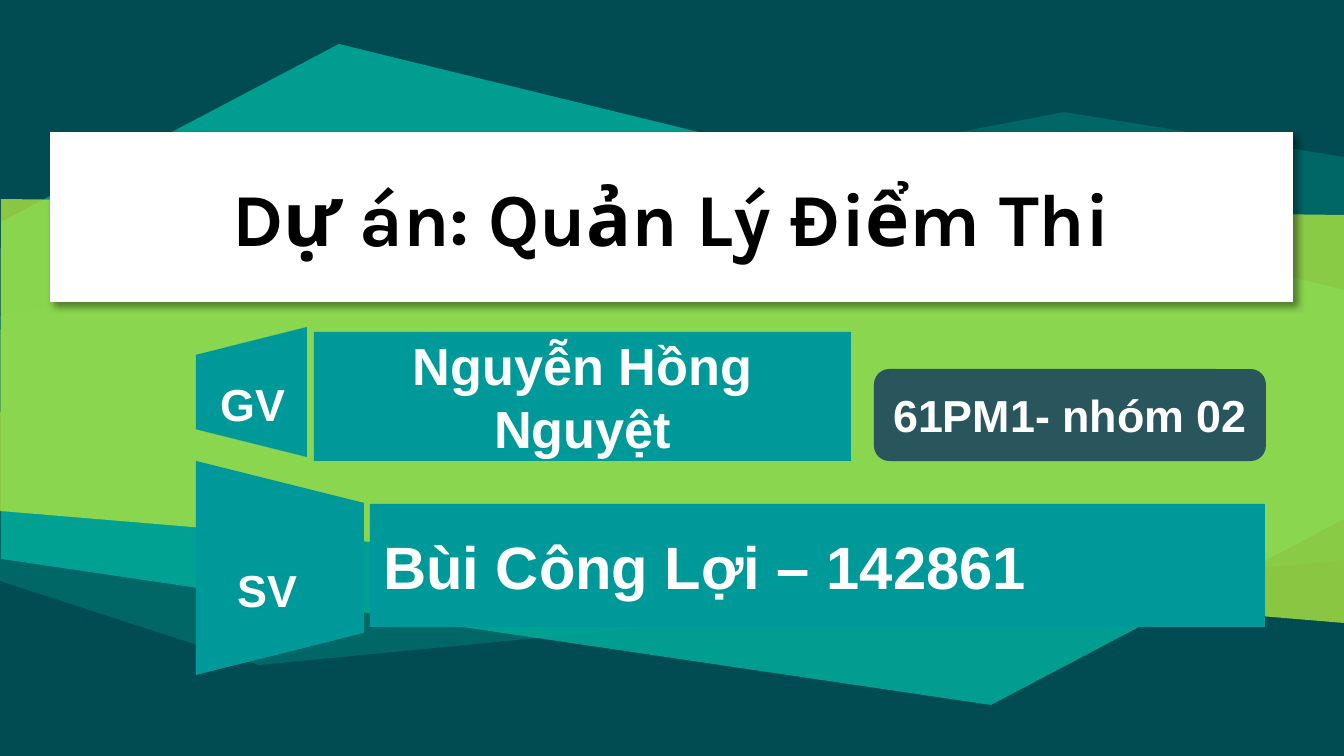
from lxml.etree import SubElement
from pptx import Presentation
from pptx.dml.color import RGBColor
from pptx.enum.shapes import MSO_SHAPE as Shape
from pptx.enum.text import MSO_ANCHOR as Anchor, PP_ALIGN as Align, MSO_AUTO_SIZE as AutoSize
from pptx.oxml.ns import qn
from pptx.util import Pt

WIDTH, HEIGHT = 1344, 756
SCALE = 9144000 / WIDTH  # EMU in one px

DARK_TEAL = RGBColor(0x00, 0x4C, 0x52)
SEA = RGBColor(0x00, 0xAE, 0x9D)
LIME = RGBColor(0xAB, 0xE3, 0x3F)
TEAL = RGBColor(0x00, 0x99, 0x99)
SLATE = RGBColor(0x29, 0x55, 0x5D)
WHITE = RGBColor(0xFF, 0xFF, 0xFF)
BLACK = RGBColor(0x00, 0x00, 0x00)

# Corner points, colour and opacity in percent, from back to front
BACKDROP = [
    ([(1344, 290), (1344, 519), (991, 705), (1, 559), (1, 222), (339, 44)], SEA, 83),
    ([(1344, 157), (1064, 112), (0, 316), (0, 581), (259, 665), (1344, 560)], SEA, 27),
    ([(1, 199), (0, 511), (1344, 623), (1344, 215)], LIME, 81),
]


def emu(*lengths):
    return [round(length * SCALE) for length in lengths]


def paint(shape, color):
    shape.fill.solid()
    shape.fill.fore_color.rgb = color
    shape.line.fill.background()


def write(shape, text, size, font="Arial", color=WHITE, align=Align.LEFT, anchor=Anchor.MIDDLE):
    frame = shape.text_frame
    frame.word_wrap = True
    frame.vertical_anchor = anchor
    para = frame.paragraphs[0]
    para.alignment = align
    span = para.add_run()
    span.text = text
    span.font.name = font
    span.font.size = Pt(size)
    span.font.bold = True
    span.font.color.rgb = color


def add_block(page, kind, box, color, rotation=0):
    shape = page.shapes.add_shape(kind, *emu(*box))
    shape.shadow.inherit = False
    shape.rotation = rotation
    paint(shape, color)
    return shape


def add_backdrop(page):
    page.background.fill.solid()
    page.background.fill.fore_color.rgb = DARK_TEAL
    for points, color, opacity in BACKDROP:
        builder = page.shapes.build_freeform(*points[0], scale=SCALE)
        builder.add_line_segments(points[1:], close=True)
        polygon = builder.convert_to_shape()
        polygon.shadow.inherit = False
        paint(polygon, color)
        tint = polygon.element.spPr.find(f"{qn('a:solidFill')}/{qn('a:srgbClr')}")
        SubElement(tint, qn("a:alpha"), val=str(opacity * 1000))


def add_title(page, box, text):
    title = page.shapes.title
    title.element.getparent().append(title.element)  # in front of the backdrop
    title.left, title.top, title.width, title.height = emu(*box)
    paint(title, WHITE)
    effects = SubElement(title.element.spPr, qn("a:effectLst"))
    shadow = SubElement(effects, qn("a:outerShdw"), blurRad=str(Pt(4)), dist=str(Pt(3)),
                        dir=str(45 * 60000), algn="bl", rotWithShape="0")
    shade = SubElement(shadow, qn("a:srgbClr"), val=str(BLACK))
    SubElement(shade, qn("a:alpha"), val="40000")
    frame = title.text_frame
    frame.auto_size = AutoSize.NONE
    frame.margin_left = frame.margin_right = frame.margin_top = frame.margin_bottom = emu(13)[0]
    write(title, text, 40, "Karla", BLACK, Align.CENTER)


def add_person(page, box, tab_width, rotation, bar, label, label_at, name, size, align):
    """Place a sideways trapezoid tab with its label, and a name bar (left, top, width, height).

    The bar and the label are placed relative to the box.
    """
    left, top, _, height = box
    tab = (left + (tab_width - height) / 2, top + (height - tab_width) / 2, height, tab_width)
    add_block(page, Shape.TRAPEZOID, tab, TEAL, rotation)
    bar_left, bar_top, bar_width, bar_height = bar
    name_bar = add_block(page, Shape.RECTANGLE,
                         (left + bar_left, top + bar_top, bar_width, bar_height), TEAL)
    write(name_bar, name, size, align=align)
    label_left, label_top = label_at
    caption = page.shapes.add_textbox(*emu(left + label_left, top + label_top, 106, 67))
    write(caption, label, 24, anchor=Anchor.TOP)


def add_group_badge(page, box, text):
    badge = add_block(page, Shape.ROUNDED_RECTANGLE, box, SLATE)
    write(badge, text, 24, align=Align.CENTER)


def main():
    deck = Presentation()
    deck.slide_width, deck.slide_height = emu(WIDTH, HEIGHT)
    page = deck.slides.add_slide(deck.slide_layouts[0])
    subtitle = page.placeholders[1].element
    subtitle.getparent().remove(subtitle)

    add_backdrop(page)
    add_title(page, (50, 132, 1243, 170), "Dự án: Quản Lý Điểm Thi")
    add_person(page, (196, 327, 655, 130), 111, 270, (118, 5, 537, 129),
               "GV", (11, 43), "Nguyễn Hồng Nguyệt", 28, Align.CENTER)
    add_person(page, (196, 461, 1069, 214), 168, 90, (174, 43, 895, 123),
               "SV", (28, 95), "Bùi Công Lợi – 142861", 32, Align.LEFT)
    add_group_badge(page, (874, 369, 392, 92), "61PM1- nhóm 02")
    deck.save("out.pptx")


if __name__ == "__main__":
    main()
